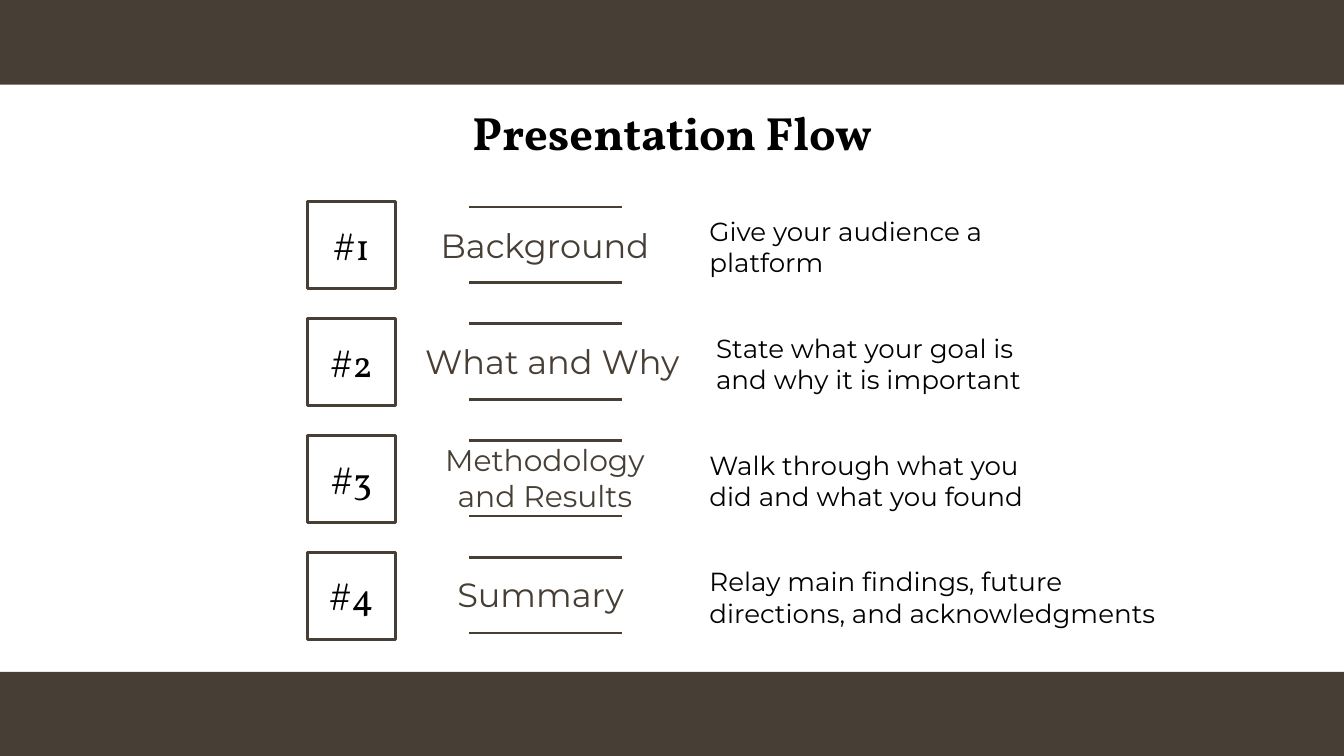
from dataclasses import dataclass

import pptx
import pptx.dml.color
import pptx.enum.shapes
import pptx.enum.text
import pptx.oxml.ns
import pptx.shapes.base
import pptx.slide
import pptx.text.text
import pptx.util
from lxml import etree

Inches = pptx.util.Inches
Align = pptx.enum.text.PP_ALIGN
Anchor = pptx.enum.text.MSO_ANCHOR
RECT = pptx.enum.shapes.MSO_SHAPE.RECTANGLE


@dataclass(frozen=True)
class Theme:
    brown: str = "473F36"
    black: str = "000000"
    white: str = "FFFFFF"
    serif: str = "Vollkorn"
    sans: str = "Montserrat"
    title: float = 25
    number: float = 20
    label: float = 18
    small: float = 16
    body: float = 14
    rule: float = 1.5


@dataclass(frozen=True)
class Box:
    left: float
    top: float
    width: float
    height: float

    def place(self) -> tuple:
        return tuple(map(Inches, (self.left, self.top, self.width, self.height)))


@dataclass(frozen=True)
class Style:
    font: str
    size: float
    color: str
    align: Align = Align.CENTER
    anchor: Anchor = Anchor.TOP
    bold: bool = False


@dataclass(frozen=True)
class Step:
    label: str
    detail: str
    width: float             # detail box
    left: float = 5.18       # detail box
    wide: float = 2.03       # label box
    drop: float = 0.08       # label below the row's top
    size: float = Theme.label


THEME = Theme()
TOP, PITCH, SIDE = 1.5, 0.87, 0.65
STEPS = [
    Step("Background", "Give your audience a platform", 2.53),
    Step("What and Why", "State what your goal is and why it is important",
         2.53, left=5.23, wide=2.14),
    Step("Methodology and Results", "Walk through what you did and what you found",
         2.79, drop=0.19, size=THEME.small),
    Step("Summary ",
         "Relay main findings, future directions, and acknowledgments",
         3.56, drop=0.07),
]


def tint(code: str) -> pptx.dml.color.RGBColor:
    return pptx.dml.color.RGBColor.from_string(code)


def write(frame: pptx.text.text.TextFrame, text: str, style: Style) -> None:
    frame.word_wrap = True
    frame.vertical_anchor = style.anchor
    frame.margin_left = frame.margin_right = Inches(0.1)
    frame.margin_top = frame.margin_bottom = Inches(0.1)
    para = frame.paragraphs[0]
    para.text = text
    para.alignment = style.align
    para.font.name = style.font
    para.font.size = pptx.util.Pt(style.size)
    para.font.bold = style.bold
    para.font.color.rgb = tint(style.color)


def add_text(slide: pptx.slide.Slide, box: Box, text: str, style: Style) -> None:
    write(slide.shapes.add_textbox(*box.place()).text_frame, text, style)


def add_rect(slide: pptx.slide.Slide, box: Box, fill: str,
             line: str | None = None) -> pptx.shapes.base.BaseShape:
    shape = slide.shapes.add_shape(RECT, *box.place())
    shape.shadow.inherit = False
    shape.fill.solid()
    shape.fill.fore_color.rgb = tint(fill)
    if line:
        shape.line.color.rgb = tint(line)
        shape.line.width = pptx.util.Pt(THEME.rule)
    else:
        shape.line.fill.background()
    return shape


def add_rule(slide: pptx.slide.Slide, y: float) -> None:
    kind = pptx.enum.shapes.MSO_CONNECTOR.STRAIGHT
    rule = slide.shapes.add_connector(
        kind, Inches(3.49), Inches(y), Inches(4.63), Inches(y))
    rule.line.color.rgb = tint(THEME.brown)
    rule.line.width = pptx.util.Pt(THEME.rule)
    etree.SubElement(rule._element.spPr, pptx.oxml.ns.qn("a:effectLst"))


def add_step(slide: pptx.slide.Slide, index: int, step: Step) -> None:
    top = TOP + index * PITCH

    # Numbered square
    square = add_rect(slide, Box(2.29, top, SIDE, SIDE), THEME.white, THEME.brown)
    write(square.text_frame, f"#{index + 1}",
          Style(THEME.serif, THEME.number, THEME.black, anchor=Anchor.MIDDLE))

    # Label between two rules
    add_text(slide, Box(3.04, top + step.drop, step.wide, 0.49), step.label,
             Style(THEME.sans, step.size, THEME.brown, anchor=Anchor.BOTTOM))
    for shift in (0.04, 0.6):
        add_rule(slide, top + shift)

    # Detail
    add_text(slide, Box(step.left, top, step.width, SIDE), step.detail,
             Style(THEME.sans, THEME.body, THEME.black, align=Align.LEFT))


def main() -> None:
    # Widescreen page, 16 to 9
    deck = pptx.Presentation()
    deck.slide_width = Inches(10)
    deck.slide_height = deck.slide_width * 9 // 16
    slide = deck.slides.add_slide(deck.slide_layouts[6])
    slide.background.fill.solid()
    slide.background.fill.fore_color.rgb = tint(THEME.white)

    # Top and bottom bands
    for top in (-0.02, 5):
        add_rect(slide, Box(0, top, 10.02, 0.65), THEME.brown)

    # Title
    add_text(slide, Box(0.78, 0.67, 8.44, 0.6), "Presentation Flow",
             Style(THEME.serif, THEME.title, THEME.black, bold=True))

    # Steps
    for index, step in enumerate(STEPS):
        add_step(slide, index, step)

    deck.save("out.pptx")


if __name__ == "__main__":
    main()
